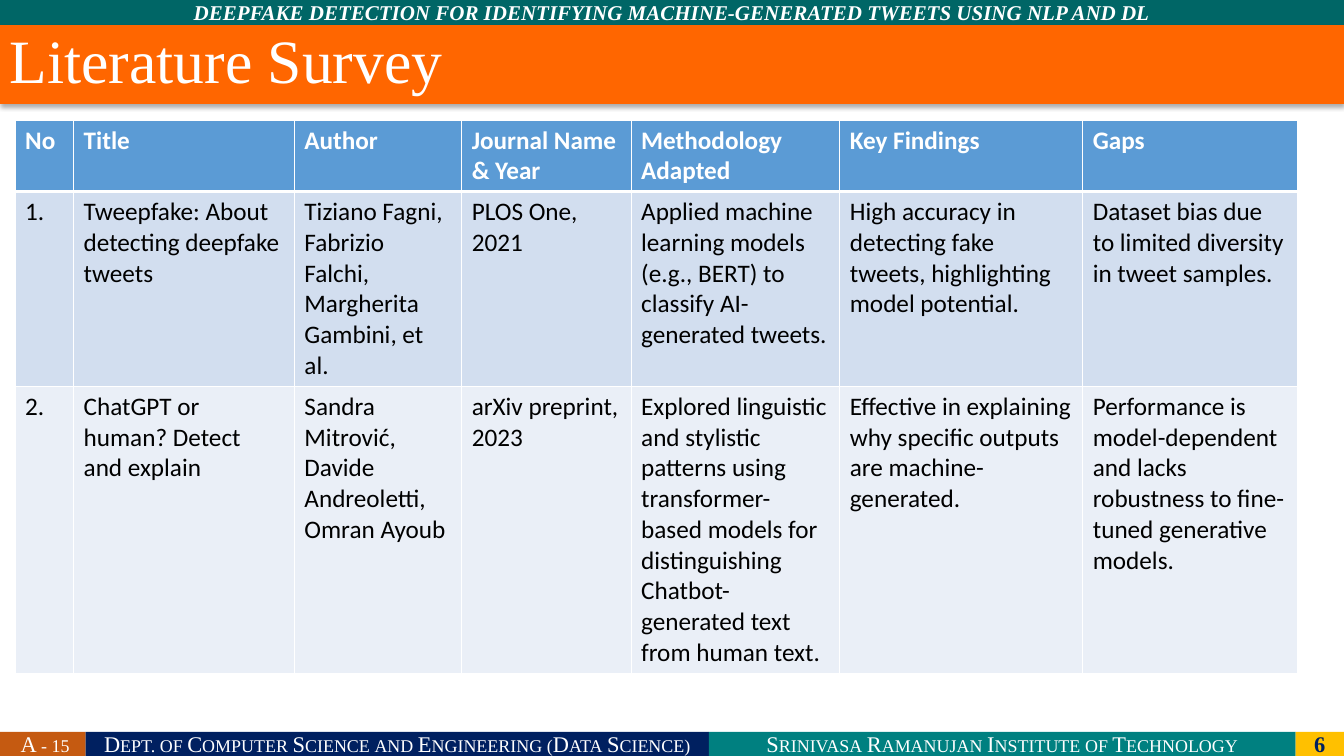
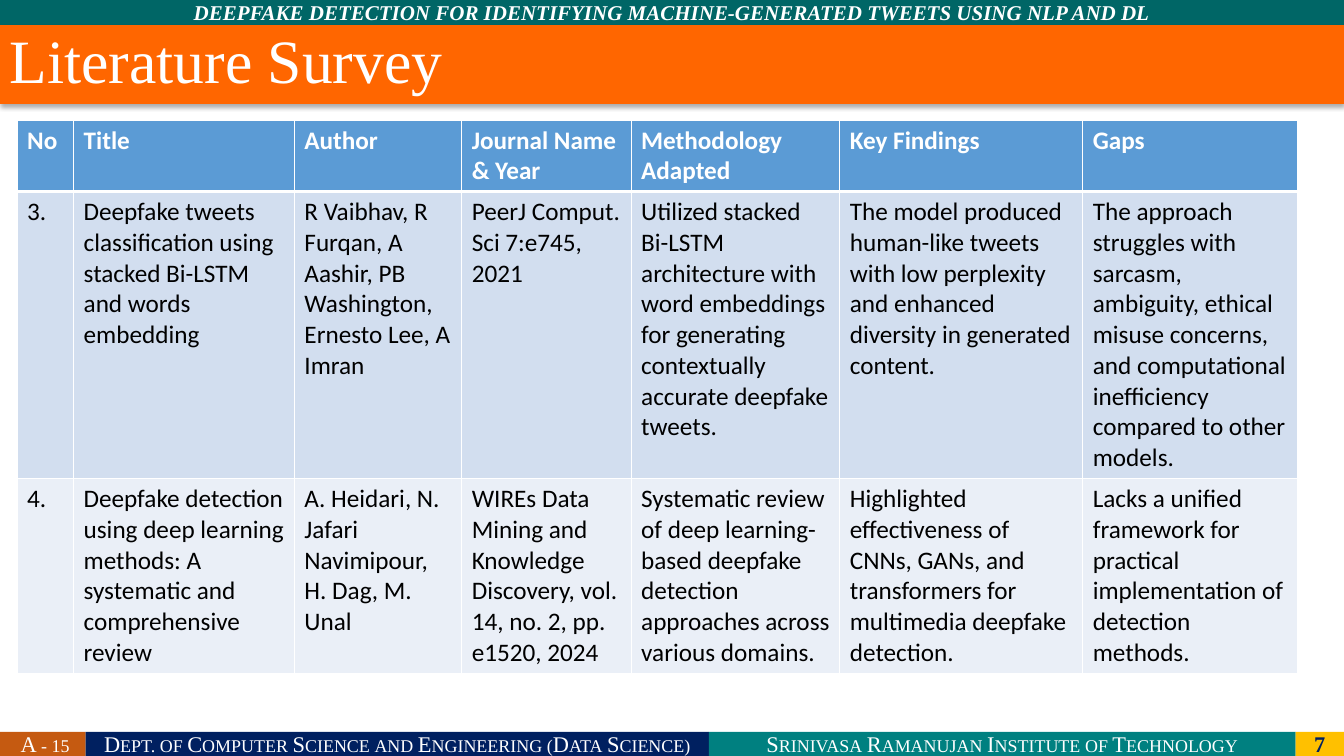
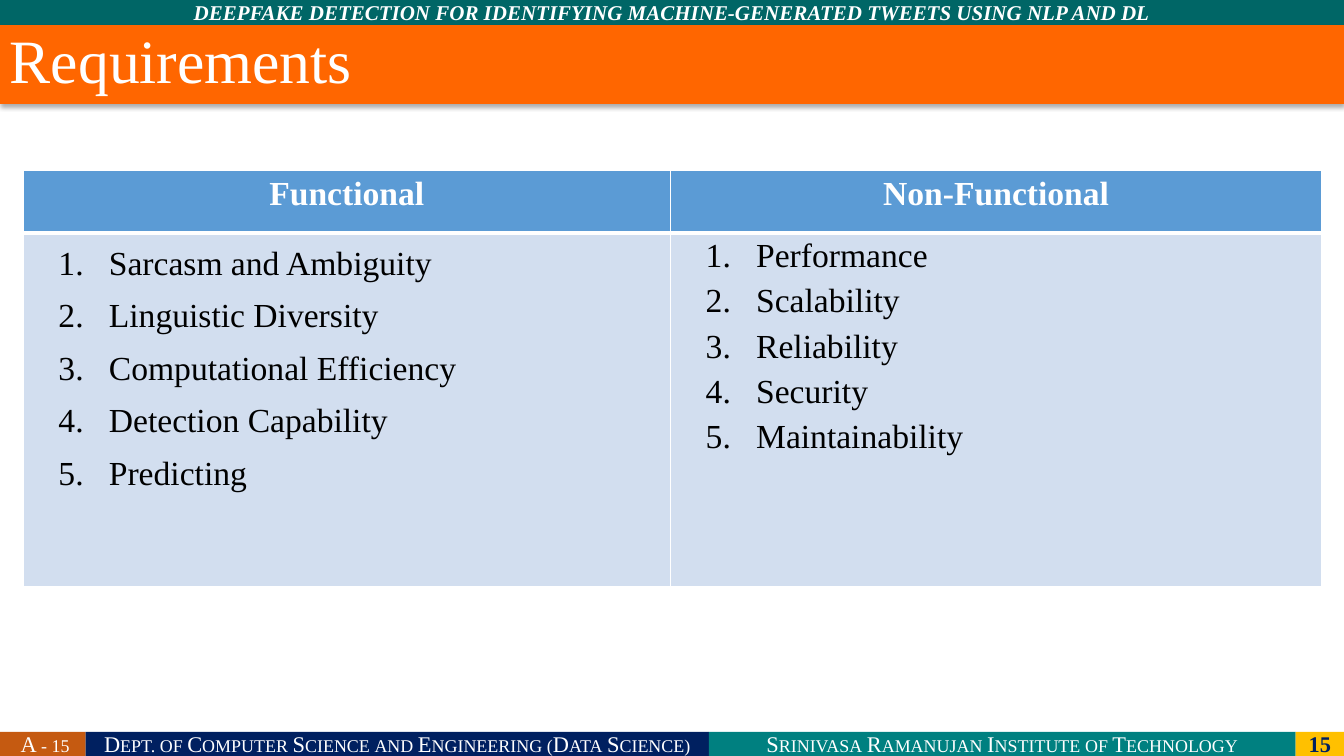
from dataclasses import dataclass, field
from itertools import accumulate
from typing import Any

from lxml.etree import SubElement
from pptx import Presentation
from pptx.dml.color import RGBColor as Rgb
from pptx.enum.shapes import MSO_SHAPE as Preset
from pptx.enum.text import MSO_ANCHOR as Anchor, PP_ALIGN as Align
from pptx.oxml.ns import qn
from pptx.util import Inches, Pt

WIDTH, HEIGHT = 13.33, 7.5
TOPIC_HEIGHT, TITLE_HEIGHT, FOOTER_HEIGHT = 0.25, 0.78, 0.24


@dataclass(frozen=True)
class Theme:
    white: str = "FFFFFF"
    black: str = "000000"
    navy: str = "002060"
    teal: str = "008080"
    gold: str = "FFC000"
    rust: str = "C55A11"
    topic: str = "006666"
    title: str = "FF6600"
    header: str = "5B9BD5"
    rows: tuple[str, str] = ("D2DEEF", "EAEFF7")
    serif: str = "Times New Roman"
    sans: str = "Calibri"
    title_size: float = 44
    footer_size: float = 16
    topic_size: float = 15
    survey_size: float = 18
    list_size: float = 24
    list_gap: float = 5.7


THEME = Theme()


@dataclass(frozen=True)
class Band:
    text: str
    fill: str
    left: float
    top: float
    width: float
    height: float
    size: float
    color: str = THEME.white
    small_caps: bool = False
    format: dict[str, Any] = field(default_factory=dict)


@dataclass(frozen=True)
class Cell:
    lines: list[str]
    numbered: bool = False
    spacing: float | None = None


@dataclass(frozen=True)
class Grid:
    left: float
    top: float
    columns: list[float]
    heights: list[float]
    cells: list[list[Cell]]
    font: str
    size: float
    header_align: Align = Align.LEFT


@dataclass(frozen=True)
class Page:
    number: int
    title: str
    grid: Grid


def apply_format(target: Any, values: dict[str, Any]) -> None:
    for name, value in values.items():
        setattr(target, name, value)


def write_run(paragraph: Any, text: str, font: str, size: float, color: str,
              values: dict[str, Any]) -> Any:
    run = paragraph.add_run()
    run.text = text
    apply_format(run.font, {"name": font, "size": Pt(size), **values})
    run.font.color.rgb = Rgb.from_string(color)
    return run


def draw_band(slide: Any, band: Band) -> Any:
    box = map(Inches, (band.left, band.top, band.width, band.height))
    shape = slide.shapes.add_shape(Preset.RECTANGLE, *box)
    shape.shadow.inherit = False
    shape.fill.solid()
    shape.fill.fore_color.rgb = Rgb.from_string(band.fill)
    shape.line.fill.background()
    apply_format(shape.text_frame, {"word_wrap": True, "vertical_anchor": Anchor.MIDDLE})
    paragraph = shape.text_frame.paragraphs[0]
    paragraph.alignment = Align.CENTER
    run = write_run(paragraph, band.text, THEME.serif, band.size, band.color, band.format)
    if band.small_caps:
        run._r.get_or_add_rPr().set("cap", "small")
    return shape


def draw_title(slide: Any, text: str) -> None:
    shape = draw_band(slide, Band(text, THEME.title, 0, TOPIC_HEIGHT, WIDTH, TITLE_HEIGHT,
                                  THEME.title_size))
    shape.text_frame.vertical_anchor = Anchor.TOP
    apply_format(shape.text_frame.paragraphs[0],
                 {"alignment": Align.LEFT, "line_spacing": 0.9})
    effects = shape._element.spPr.find(qn("a:effectLst"))
    shadow = SubElement(effects, qn("a:outerShdw"), blurRad=str(Pt(3.5)), dist=str(Pt(2.2)),
                        dir="5400000", algn="t", rotWithShape="0")
    color = SubElement(shadow, qn("a:srgbClr"), val=THEME.black)
    SubElement(color, qn("a:alpha"), val="32000")


def draw_frame(slide: Any, page: Page) -> None:
    footers = [
        (" A - 15", THEME.rust, 0.85),
        ("Dept. of Computer Science and Engineering (Data Science)", THEME.navy, 6.18),
        ("Srinivasa Ramanujan Institute of Technology", THEME.teal, 5.82),
    ]
    top = HEIGHT - FOOTER_HEIGHT
    lefts = list(accumulate((width for _, _, width in footers), initial=0))
    for (text, fill, width), left in zip(footers, lefts):
        draw_band(slide, Band(text, fill, left, top, width, FOOTER_HEIGHT,
                              THEME.footer_size, small_caps=True))
    draw_band(slide, Band(str(page.number), THEME.gold, lefts[-1], top, WIDTH - lefts[-1],
                          FOOTER_HEIGHT, THEME.footer_size, THEME.navy,
                          format={"bold": True}))
    draw_band(slide, Band(
        "DEEPFAKE DETECTION FOR IDENTIFYING MACHINE-GENERATED TWEETS USING NLP AND DL",
        THEME.topic, 0, 0, WIDTH, TOPIC_HEIGHT, THEME.topic_size,
        format={"bold": True, "italic": True}))
    draw_title(slide, page.title)


def draw_borders(cell: Any, is_header: bool) -> None:
    widths = {"lnL": 1, "lnR": 1, "lnT": 1, "lnB": 3} if is_header else {
        "lnL": 1, "lnR": 1, "lnB": 1}
    properties = cell._tc.get_or_add_tcPr()
    for position, (edge, width) in enumerate(widths.items()):
        line = SubElement(properties, qn(f"a:{edge}"), w=str(Pt(width)))
        fill = SubElement(line, qn("a:solidFill"))
        SubElement(fill, qn("a:srgbClr"), val=THEME.white)
        properties.insert(position, line)


def number_paragraph(paragraph: Any) -> None:
    properties = paragraph._p.get_or_add_pPr()
    properties.set("marL", str(Inches(0.75)))
    properties.set("indent", str(Inches(-0.5)))
    SubElement(properties, qn("a:buFont"), typeface="+mj-lt")
    SubElement(properties, qn("a:buAutoNum"), type="arabicPeriod")


def fill_cell(cell: Any, content: Cell, grid: Grid, row: int) -> None:
    is_header = row == 0
    cell.fill.solid()
    fill = THEME.header if is_header else THEME.rows[(row - 1) % 2]
    cell.fill.fore_color.rgb = Rgb.from_string(fill)
    draw_borders(cell, is_header)
    frame = cell.text_frame
    for index, text in enumerate(content.lines):
        paragraph = frame.add_paragraph() if index else frame.paragraphs[0]
        if content.numbered:
            number_paragraph(paragraph)
        if content.numbered and index:
            paragraph.space_before = Pt(THEME.list_gap)
        apply_format(paragraph, {
            "alignment": grid.header_align if is_header else Align.LEFT,
            "line_spacing": content.spacing})
        write_run(paragraph, text, grid.font, grid.size,
                  THEME.white if is_header else THEME.black, {"bold": is_header})


def draw_grid(slide: Any, grid: Grid) -> None:
    box = map(Inches, (grid.left, grid.top, sum(grid.columns), sum(grid.heights)))
    table = slide.shapes.add_table(len(grid.heights), len(grid.columns), *box).table
    table.horz_banding = False
    for column, width in zip(table.columns, grid.columns):
        column.width = Inches(width)
    for row, height in zip(table.rows, grid.heights):
        row.height = Inches(height)
    for row, contents in enumerate(grid.cells):
        for column, content in enumerate(contents):
            fill_cell(table.cell(row, column), content, grid, row)


def survey_grid(left: float, line_counts: list[int], papers: list[list[str]]) -> Grid:
    header = ["No", "Title", "Author", "Journal Name & Year", "Methodology Adapted",
              "Key Findings", "Gaps"]
    title_left = 0.73
    return Grid(
        left, 1.19,
        [title_left - left, 2.19, 1.66, 1.68, 2.07, 2.41, 2.13],
        [0.1 + 0.3 * count for count in line_counts],
        [[Cell([text]) for text in row] for row in [header, *papers]],
        THEME.sans, THEME.survey_size)


def requirements_grid() -> Grid:
    functional = ["Sarcasm and Ambiguity", "Linguistic Diversity", "Computational Efficiency",
                  "Detection Capability", "Predicting"]
    non_functional = ["Performance", "Scalability", "Reliability", "Security",
                      "Maintainability"]
    return Grid(
        0.23, 1.69, [6.42, 6.46], [0.62, 3.51],
        [[Cell(["Functional"]), Cell(["Non-Functional"])],
         [Cell(functional, True, 1.2), Cell(non_functional, True)]],
        THEME.serif, THEME.list_size, Align.CENTER)


FIRST_PAPERS = [
    ["1.", "Tweepfake: About detecting deepfake tweets",
     "Tiziano Fagni, Fabrizio Falchi, Margherita Gambini, et al.",
     "PLOS One, 2021",
     "Applied machine learning models (e.g., BERT) to classify AI-generated tweets.",
     "High accuracy in detecting fake tweets, highlighting model potential.",
     "Dataset bias due to limited diversity in tweet samples."],
    ["2.", "ChatGPT or human? Detect and explain",
     "Sandra Mitrović, Davide Andreoletti, Omran Ayoub",
     "arXiv preprint, 2023",
     "Explored linguistic and stylistic patterns using transformer-based models for "
     "distinguishing Chatbot-generated text from human text.",
     "Effective in explaining why specific outputs are machine-generated.",
     "Performance is model-dependent and lacks robustness to fine-tuned generative models."],
]
SECOND_PAPERS = [
    ["3.", "Deepfake tweets classification using stacked Bi-LSTM and words embedding",
     "R Vaibhav, R Furqan, A Aashir, PB Washington, Ernesto Lee, A Imran",
     "PeerJ Comput. Sci 7:e745, 2021",
     "Utilized stacked Bi-LSTM architecture with word embeddings for generating "
     "contextually accurate deepfake tweets.",
     "The model produced human-like tweets with low perplexity and enhanced diversity in "
     "generated content.",
     "The approach struggles with sarcasm, ambiguity, ethical misuse concerns, and "
     "computational inefficiency compared to other models."],
    ["4.", "Deepfake detection using deep learning methods: A systematic and comprehensive "
     "review",
     "A. Heidari, N. Jafari Navimipour, H. Dag, M. Unal",
     "WIREs Data Mining and Knowledge Discovery, vol. 14, no. 2, pp. e1520, 2024",
     "Systematic review of deep learning-based deepfake detection approaches across "
     "various domains.",
     "Highlighted effectiveness of CNNs, GANs, and transformers for multimedia deepfake "
     "detection.",
     "Lacks a unified framework for practical implementation of detection methods."],
]
PAGES = [
    Page(6, "Literature Survey", survey_grid(0.15, [2, 6, 9], FIRST_PAPERS)),
    Page(7, "Literature Survey", survey_grid(0.17, [2, 9, 6], SECOND_PAPERS)),
    Page(15, "Requirements", requirements_grid()),
]


def main() -> None:
    presentation = Presentation()
    apply_format(presentation, {"slide_width": Inches(WIDTH), "slide_height": Inches(HEIGHT)})
    blank_layout = presentation.slide_layouts[6]
    for page in PAGES:
        slide = presentation.slides.add_slide(blank_layout)
        draw_frame(slide, page)
        draw_grid(slide, page.grid)
    presentation.save("out.pptx")


if __name__ == "__main__":
    main()
